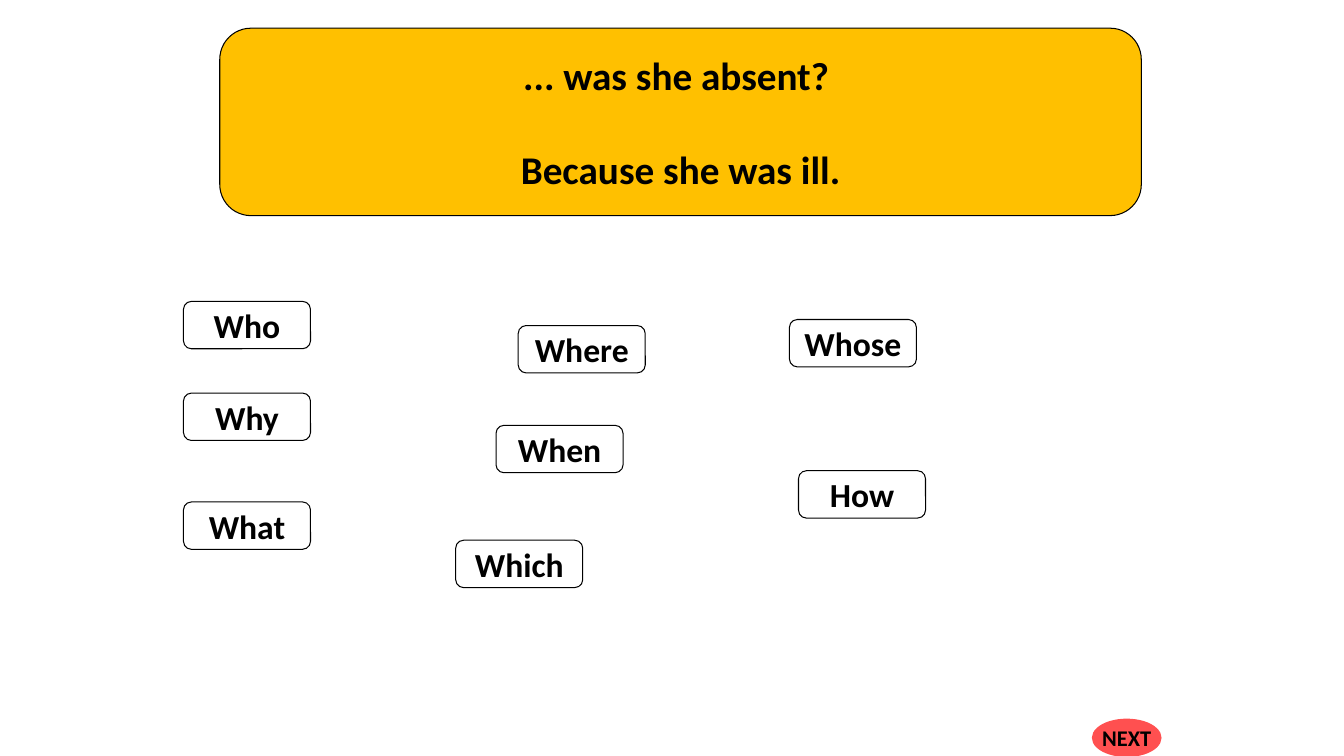
from pptx import Presentation
from pptx.dml.color import RGBColor
from pptx.enum.shapes import MSO_SHAPE
from pptx.enum.text import MSO_ANCHOR, PP_ALIGN
from pptx.util import Inches, Pt

ROUNDED = MSO_SHAPE.ROUNDED_RECTANGLE
OVAL = MSO_SHAPE.OVAL
MIDDLE = MSO_ANCHOR.MIDDLE
CENTER = PP_ALIGN.CENTER

COLORS = {"black": "000000", "white": "FFFFFF", "amber": "FFC000", "red": "FF5050"}
WORD_SIZE = (1.26, 0.47)
WORDS = [
    ("When", 4.92, 4.22),
    ("Why", 1.82, 3.9),
    ("Where", 5.14, 3.23),
    ("What", 1.82, 4.98),
    ("Who", 1.82, 2.99),
    ("Which", 4.52, 5.36),
    ("Whose", 7.83, 3.17),
    ("How", 7.92, 4.67),
]


class QuizSlide:
    font = "Calibri"

    def __init__(self, prs):
        self.slide = prs.slides.add_slide(prs.slide_layouts[6])

    def color(self, name):
        return RGBColor.from_string(COLORS[name])

    def shape(self, kind, box, fill, line, weight):
        sp = self.slide.shapes.add_shape(kind, *[Inches(v) for v in box])
        sp.shadow.inherit = False
        sp.fill.solid()
        sp.fill.fore_color.rgb = self.color(fill)
        sp.line.color.rgb = self.color(line)
        sp.line.width = Pt(weight)
        return sp

    def text(self, sp, lines, size, gap=0):
        tf = sp.text_frame
        tf.word_wrap = False
        tf.vertical_anchor = MIDDLE
        for i, line in enumerate(lines):
            p = tf.add_paragraph() if i else tf.paragraphs[0]
            p.alignment = CENTER
            if i:
                p.space_before = Pt(gap)
            r = p.add_run()
            r.text = line
            r.font.name = self.font
            r.font.size = Pt(size)
            r.font.bold = True
            r.font.color.rgb = self.color("black")

    def question(self, lines, box):
        sp = self.shape(ROUNDED, box, "amber", "black", 0.75)
        self.text(sp, lines, 28, gap=34)

    def word(self, label, left, top):
        sp = self.shape(ROUNDED, (left, top, *WORD_SIZE), "white", "black", 0.75)
        self.text(sp, [label], 24)

    def button(self, label, box):
        sp = self.shape(OVAL, box, "red", "red", 1.5)
        self.text(sp, [label], 16)


def main():
    prs = Presentation()
    prs.slide_width = Inches(13.33)
    prs.slide_height = Inches(7.5)
    s = QuizSlide(prs)
    s.question(["... was she absent? ", "Because she was ill."], (2.18, 0.28, 9.14, 1.86))
    for label, left, top in WORDS:
        s.word(label, left, top)
    s.button("NEXT", (10.84, 7.14, 0.67, 0.36))
    prs.save("out.pptx")


if __name__ == "__main__":
    main()
